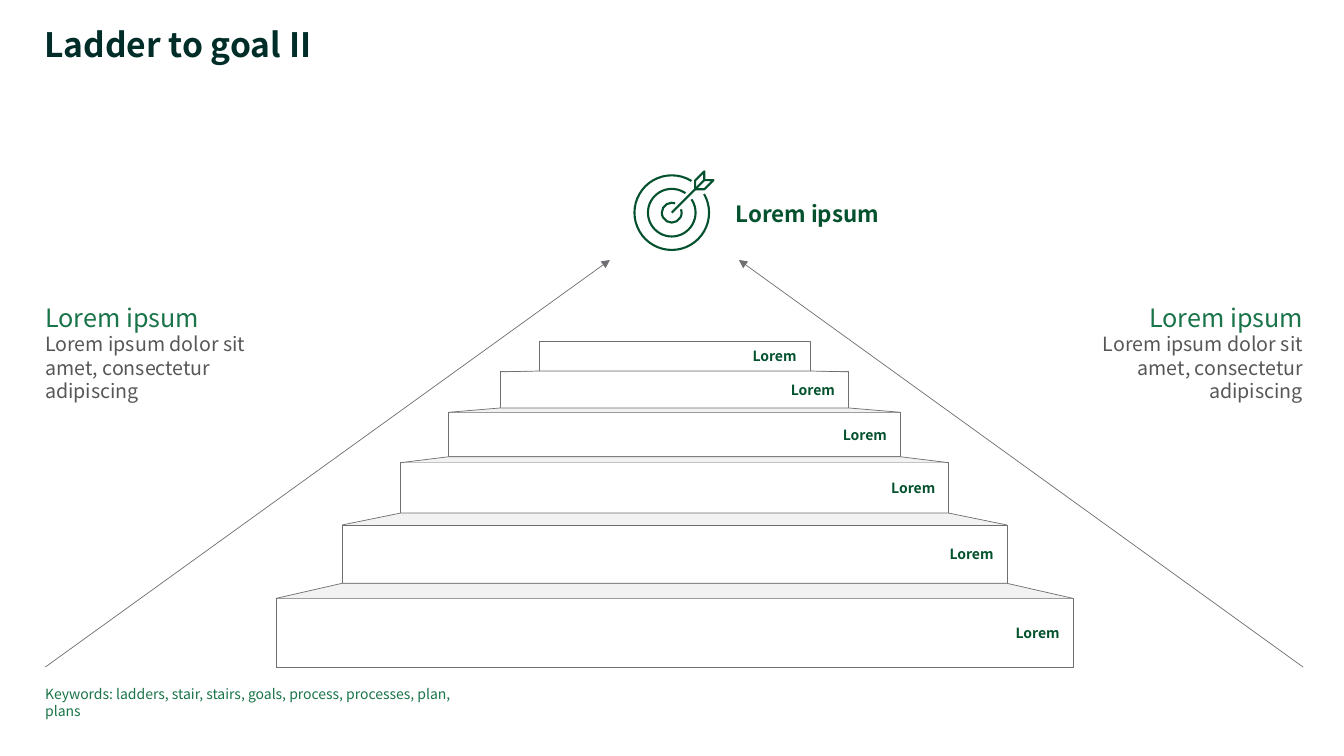
from lxml import etree
from pptx import Presentation
from pptx.dml.color import RGBColor
from pptx.enum import shapes, text
from pptx.oxml import ns
from pptx.util import Cm, Pt

FONT = "Noto Sans CJK JP"
TITLE_GREEN = RGBColor(0x00, 0x2D, 0x28)
DARK_GREEN = RGBColor(0x03, 0x52, 0x2D)
GREEN = RGBColor(0x1A, 0x74, 0x49)
BODY_GREY = RGBColor(0x57, 0x57, 0x57)
LINE_GREY = RGBColor(0x6E, 0x6F, 0x73)
TREAD_GREY = RGBColor(0xF2, 0xF2, 0xF2)

presentation = Presentation()
presentation.slide_width, presentation.slide_height = Cm(33.87), Cm(19.05)
slide = presentation.slides.add_slide(presentation.slide_layouts[6])


def add_text(box, lines, align=text.PP_ALIGN.LEFT, anchor=text.MSO_ANCHOR.MIDDLE):
    """Add a text box at box (cm); each line is (wording, size, colour, bold)."""
    frame = slide.shapes.add_textbox(*[Cm(length) for length in box]).text_frame
    frame.word_wrap = True
    frame.vertical_anchor = anchor
    frame.margin_left = frame.margin_right = frame.margin_top = frame.margin_bottom = 0
    for index, (wording, size, colour, bold) in enumerate(lines):
        paragraph = frame.add_paragraph() if index else frame.paragraphs[0]
        paragraph.alignment = align
        run = paragraph.add_run()
        run.text = wording
        run.font.name, run.font.size, run.font.bold = FONT, Pt(size), bold
        run.font.color.rgb = colour
    return frame


def add_outline(points, colour, width, close=False):
    """Draw an unfilled line through points (cm)."""
    points = [(Cm(x), Cm(y)) for x, y in points]
    builder = slide.shapes.build_freeform(*points[0])
    builder.add_line_segments(points[1:], close=close)
    shape = builder.convert_to_shape()
    shape.shadow.inherit = False
    shape.fill.background()
    shape.line.color.rgb, shape.line.width = colour, Pt(width)
    return shape


# Title
title = add_text((1.12, 0.71, 28, 0.94), [("Ladder to goal II", 24, TITLE_GREEN, True)],
                 anchor=text.MSO_ANCHOR.TOP)
title.paragraphs[0].line_spacing = 0.9

# Target: rings open towards the dart, as (radius, start angle, end angle)
TARGET_X, TARGET_Y = 16.93, 5.36
for radius, start, end in [(0.94, 330, 302), (0.6, 326, 305), (0.25, 340, 290)]:
    ring = slide.shapes.add_shape(shapes.MSO_SHAPE.ARC, Cm(TARGET_X - radius),
                                  Cm(TARGET_Y - radius), Cm(2 * radius), Cm(2 * radius))
    ring.shadow.inherit = False
    ring.adjustments[0], ring.adjustments[1] = start * 0.6, end * 0.6
    ring.fill.background()
    ring.line.color.rgb, ring.line.width = DARK_GREEN, Pt(1.5)
add_outline([(TARGET_X, TARGET_Y), (17.75, 4.54)], DARK_GREEN, 1.5)
add_outline([(17.52, 4.77), (17.52, 4.55), (17.75, 4.32), (17.75, 4.54),
             (17.98, 4.54), (17.75, 4.77)], DARK_GREEN, 1.5, close=True)
add_text((18.54, 4.95, 14.3, 0.84), [("Lorem ipsum", 16, DARK_GREEN, True)])

# Arrows rising to the target
for start_x, end_x in [(1.14, 15.37), (32.84, 18.62)]:
    arrow = slide.shapes.add_connector(shapes.MSO_CONNECTOR.STRAIGHT, Cm(start_x),
                                       Cm(16.81), Cm(end_x), Cm(6.55))
    arrow.line.color.rgb, arrow.line.width = LINE_GREY, Pt(0.5)
    etree.SubElement(arrow.line._get_or_add_ln(), ns.qn("a:tailEnd"), type="triangle")
    etree.SubElement(arrow._element.spPr, ns.qn("a:effectLst"))

# Stairs from bottom to top, as (width, top, height)
STAIR_X = 17
steps = [(20.09, 15.08, 1.75), (16.76, 13.23, 1.47), (13.82, 11.66, 1.27),
         (11.38, 10.39, 1.12), (8.76, 9.37, 0.91), (6.83, 8.61, 0.74)]
for width, top, height in steps:
    step = slide.shapes.add_shape(shapes.MSO_SHAPE.RECTANGLE, Cm(STAIR_X - width / 2),
                                  Cm(top), Cm(width), Cm(height))
    step.shadow.inherit = False
    step.fill.background()
    step.line.color.rgb, step.line.width = LINE_GREY, Pt(0.5)
    add_text((STAIR_X + width / 2 - 1.45, top + height / 2 - 0.34, 1.45, 0.68),
             [("Lorem", 10, DARK_GREEN, True)])

# Each tread joins a step to the foot of the one above
for (width, top, _), (upper_width, upper_top, upper_height) in zip(steps, steps[1:]):
    foot = upper_top + upper_height
    tread = add_outline([(STAIR_X - width / 2, top), (STAIR_X - upper_width / 2, foot),
                         (STAIR_X + upper_width / 2, foot), (STAIR_X + width / 2, top)],
                        LINE_GREY, 0.5)
    tread.fill.solid()
    tread.fill.fore_color.rgb = TREAD_GREY

# Side texts and keywords
for left, align in [(1.14, text.PP_ALIGN.LEFT), (26.72, text.PP_ALIGN.RIGHT)]:
    add_text((left, 7.9, 6.12, 1.96),
             [("Lorem ipsum", 18, GREEN, False),
              ("Lorem ipsum dolor sit amet, consectetur adipiscing", 14, BODY_GREY, False)],
             align)
add_text((1.14, 17.27, 11.02, 0.43),
         [("Keywords: ladders, stair, stairs, goals, process, processes, plan, plans",
           10, GREEN, False)], anchor=text.MSO_ANCHOR.TOP)

presentation.save("out.pptx")
